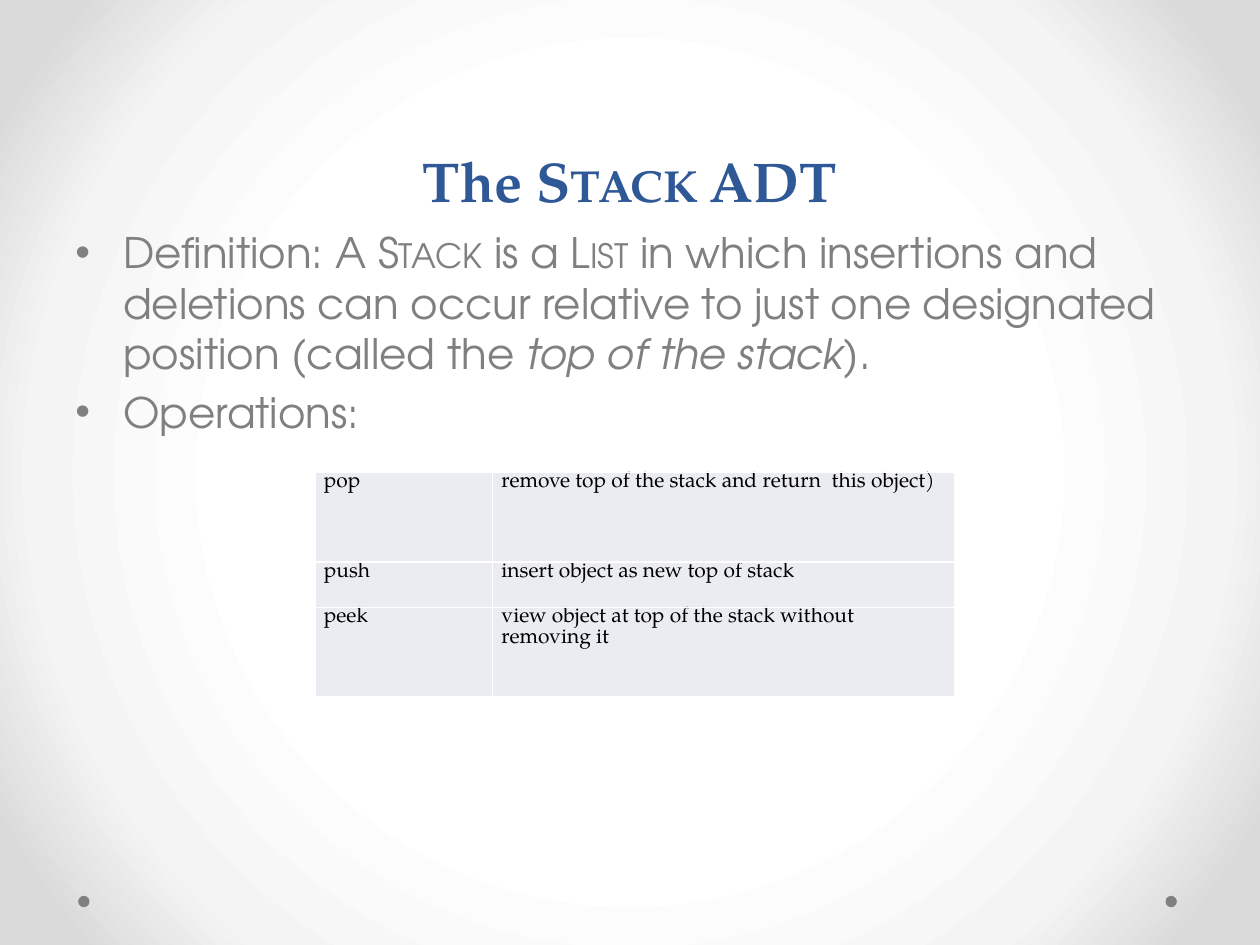
from pptx import Presentation
from pptx.dml.color import RGBColor
from pptx.enum.shapes import MSO_SHAPE
from pptx.enum.text import MSO_ANCHOR, MSO_AUTO_SIZE, PP_ALIGN
from pptx.oxml import parse_xml
from pptx.oxml.ns import nsdecls, qn
from pptx.util import Inches, Pt

OVAL = MSO_SHAPE.OVAL
BOTTOM = MSO_ANCHOR.BOTTOM
CENTER = PP_ALIGN.CENTER
NO_AUTOFIT = MSO_AUTO_SIZE.NONE

SERIF = "TeX Gyre Pagella"
SANS = "TeX Gyre Adventor"
GRAY = "808080"


def rgb(color):
    return RGBColor.from_string(color)


def add_runs(p, parts, font, size, color, bold=False):
    """Add (text, style) parts, where style is "", "small" (caps) or "italic"."""
    for text, style in parts:
        r = p.add_run()
        r.text = text
        r.font.name = font
        r.font.size = Pt(size)
        r.font.bold = bold
        r.font.color.rgb = rgb(color)
        if style == "italic":
            r.font.italic = True
        elif style == "small":
            r._r.get_or_add_rPr().set("cap", "small")


prs = Presentation()
prs.slide_width = Inches(10)
prs.slide_height = Inches(7.5)
s = prs.slides.add_slide(prs.slide_layouts[5])

# Radial background
s.background.fill.solid()
bg = s.element.find(".//" + qn("p:bgPr"))
stops = "".join(
    f'<a:gs pos="{pos * 1000}"><a:srgbClr val="{color}"/></a:gs>'
    for pos, color in [(50, "FFFFFF"), (76, "F4F4F4"), (92, "DADADA")])
bg.replace(bg[0], parse_xml(
    f'<a:gradFill {nsdecls("a")} rotWithShape="1"><a:gsLst>{stops}</a:gsLst>'
    '<a:path path="circle">'
    '<a:fillToRect l="50000" t="50000" r="50000" b="50000"/></a:path></a:gradFill>'))

# Corner dots
for left in (0.62, 9.25):
    dot = s.shapes.add_shape(OVAL, Inches(left), Inches(7.11), Inches(0.09), Inches(0.09))
    dot.shadow.inherit = False
    dot.fill.solid()
    dot.fill.fore_color.rgb = rgb(GRAY)
    dot.line.fill.background()

# Title
title = s.shapes.title
title.left, title.top = Inches(0.5), Inches(0)
title.width, title.height = Inches(9), Inches(1.75)
tf = title.text_frame
tf.auto_size = NO_AUTOFIT
tf.vertical_anchor = BOTTOM
p = tf.paragraphs[0]
p.alignment = CENTER
p.line_spacing = Pt(58)
add_runs(p, [("The ", ""), ("Stack ", "small"), ("ADT", "")], SERIF, 32, "2F5897", bold=True)

# Bulleted text
bullets = [
    [("Definition: A ", ""), ("Stack", "small"), (" is a ", ""), ("List", "small"),
     (" in which insertions and deletions can occur relative to just one "
      "designated position (called the ", ""),
     ("top of the stack", "italic"), (").", "")],
    [("Operations:", "")],
]
body = s.shapes.add_textbox(Inches(0.5), Inches(1.75), Inches(9), Inches(4.95))
tf = body.text_frame
tf.word_wrap = True
for i, parts in enumerate(bullets):
    p = tf.paragraphs[0] if i == 0 else tf.add_paragraph()
    p.space_before = Pt(4.8)
    pPr = p._p.get_or_add_pPr()
    pPr.set("marL", str(Inches(0.38)))
    pPr.set("indent", str(Inches(-0.38)))
    pPr.append(parse_xml(f'<a:buFont {nsdecls("a")} typeface="Arial"/>'))
    pPr.append(parse_xml(f'<a:buChar {nsdecls("a")} char="•"/>'))
    add_runs(p, parts, SANS, 24, GRAY)

# Operations table
operations = [
    ("pop", "remove top of the stack and return  this object)"),
    ("push", "insert object as new top of stack"),
    ("peek", "view object at top of the stack without removing it"),
]
col_widths = [1.41, 3.67]
row_heights = [0.71, 0.36, 0.71]
table = s.shapes.add_table(
    len(operations), len(col_widths), Inches(2.5), Inches(3.75),
    Inches(sum(col_widths)), Inches(sum(row_heights))).table
table.first_row = False
table.horz_banding = False
for col, width in zip(table.columns, col_widths):
    col.width = Inches(width)
for row, height, texts in zip(table.rows, row_heights, operations):
    row.height = Inches(height)
    for cell, text in zip(row.cells, texts):
        cell.margin_left = cell.margin_right = Inches(0.07)
        cell.margin_top = cell.margin_bottom = 0
        add_runs(cell.text_frame.paragraphs[0], [(text, "")], SERIF, 12, "000000")
        tcPr = cell._tc.get_or_add_tcPr()
        for side in ("lnL", "lnR", "lnT", "lnB"):
            tcPr.append(parse_xml(
                f'<a:{side} {nsdecls("a")} w="{Pt(1)}"><a:solidFill>'
                f'<a:srgbClr val="FFFFFF"/></a:solidFill></a:{side}>'))
        cell.fill.solid()
        cell.fill.fore_color.rgb = rgb("EAECF2")

prs.save("out.pptx")
